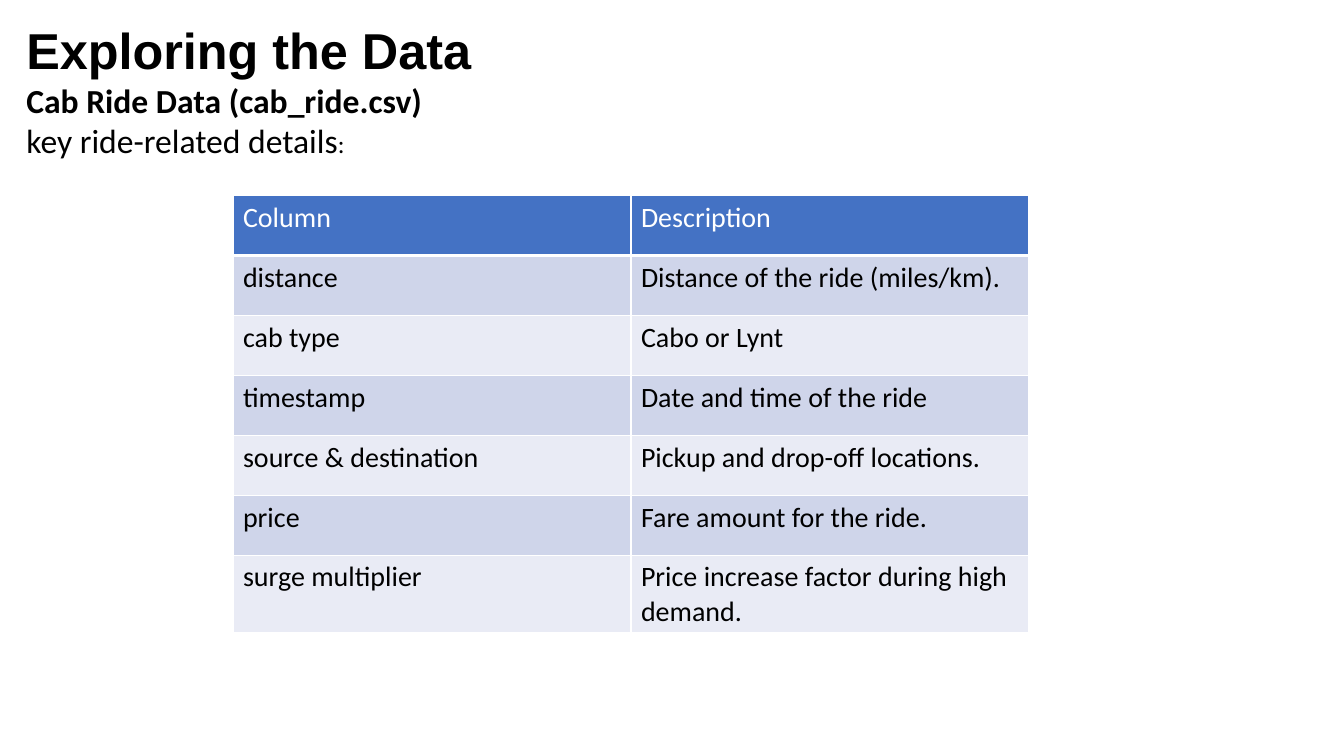
from lxml import etree
from pptx import Presentation
from pptx.dml.color import RGBColor
from pptx.enum.text import MSO_ANCHOR, MSO_AUTO_SIZE, PP_ALIGN
from pptx.oxml.ns import qn
from pptx.util import Cm, Pt


def style(font, size, name="Calibri", color="000000", bold=False):
    font.size, font.name, font.bold = Pt(size), name, bold
    font.color.rgb = RGBColor.from_string(color)


def edge(cell, widths, color="FFFFFF"):
    props = cell._tc.get_or_add_tcPr()
    for spot, (side, width) in enumerate(zip("LRTB", widths)):
        line = etree.Element(qn(f"a:ln{side}"), w=str(Pt(width)))
        fill = etree.SubElement(line, qn("a:solidFill"))
        etree.SubElement(fill, qn("a:srgbClr"), val=color)
        props.insert(spot, line)


deck = Presentation()
deck.slide_width, deck.slide_height = Cm(33.87), Cm(19.05)
slide = deck.slides.add_slide(deck.slide_layouts[5])

# Title block
title = slide.shapes.title
title.left, title.top = Cm(0.41), Cm(0.36)
title.width, title.height = Cm(16.94), Cm(3.84)
frame = title.text_frame
frame.text = "Exploring the Data\nCab Ride Data (cab_ride.csv)\nkey ride-related details"
frame.word_wrap = True
frame.vertical_anchor = MSO_ANCHOR.TOP
frame.auto_size = MSO_AUTO_SIZE.SHAPE_TO_FIT_TEXT
looks = [(36, "Arial", True), (24, "Calibri", True), (24, "Calibri", False)]
for para, (size, name, bold) in zip(frame.paragraphs, looks):
    para.alignment = PP_ALIGN.LEFT
    style(para.font, size, name, bold=bold)
colon = frame.paragraphs[-1].add_run()
colon.text = ":"
colon.font.size = Pt(18)

# Column table
rows = [
    ("Column", "Description"),
    ("distance", "Distance of the ride (miles/km)."),
    ("cab type", "Cabo or Lynt"),
    ("timestamp", "Date and time of the ride"),
    ("source & destination", "Pickup and drop-off locations."),
    ("price", "Fare amount for the ride."),
    ("surge multiplier", "Price increase factor during high demand."),
]
high = Cm(1.51)
table = slide.shapes.add_table(
    len(rows), 2, Cm(5.87), Cm(4.93), Cm(20.06), high * len(rows)
).table
for r, row in enumerate(rows):
    table.rows[r].height = high
    head = r == 0
    back = "4472C4" if head else ("E9EBF5", "CFD5EA")[r % 2]
    for c, text in enumerate(row):
        cell = table.cell(r, c)
        cell.text = text
        cell.fill.solid()
        cell.fill.fore_color.rgb = RGBColor.from_string(back)
        edge(cell, (1, 1, 3 if r == 1 else 1, 3 if head else 1))
        style(cell.text_frame.paragraphs[0].font, 20,
              color="FFFFFF" if head else "000000")

deck.save("out.pptx")
